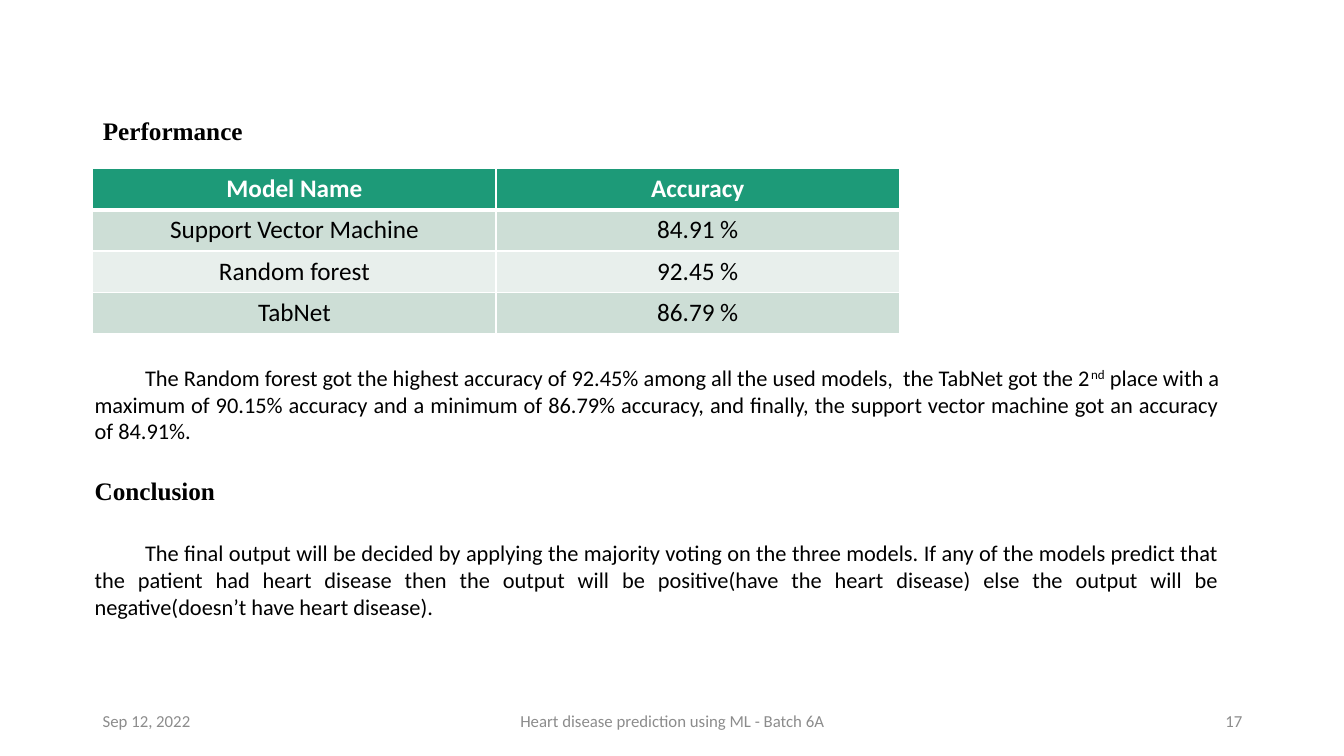
from lxml import etree
from pptx import Presentation
from pptx.dml.color import RGBColor
from pptx.enum.text import MSO_ANCHOR, MSO_AUTO_SIZE, PP_ALIGN
from pptx.oxml.ns import qn
from pptx.util import Inches, Pt

LEFT, CENTER, RIGHT, JUSTIFY = (
    PP_ALIGN.LEFT, PP_ALIGN.CENTER, PP_ALIGN.RIGHT, PP_ALIGN.JUSTIFY)
MIDDLE, TOP = MSO_ANCHOR.MIDDLE, MSO_ANCHOR.TOP
NO_FIT, GROW = MSO_AUTO_SIZE.NONE, MSO_AUTO_SIZE.SHAPE_TO_FIT_TEXT
TITLE_ONLY = 5

BODY_FONT, HEAD_FONT = "Calibri", "Times New Roman"
BLACK, WHITE, GREY = "000000", "FFFFFF", "8C8C8C"
GREEN, BAND_DARK, BAND_LIGHT = "1D9A78", "CDDED6", "E8EFEC"

BODY = {"name": BODY_FONT, "size": Pt(16), "bold": False, "color": BLACK}
HEADING = {"name": HEAD_FONT, "size": Pt(18), "bold": True, "color": BLACK}
FOOTER = {"name": BODY_FONT, "size": Pt(12), "bold": False, "color": GREY}
TABLE_BODY = {**BODY, "size": Pt(18)}
TABLE_HEAD = {**TABLE_BODY, "bold": True, "color": WHITE}


def rgb(hex_text):
    return RGBColor.from_string(hex_text)


class SlideBuilder:
    """Holds the deck and page, and adds each kind of element."""

    def __init__(self, width, height):
        self.deck = Presentation()
        self.deck.slide_width = Inches(width)
        self.deck.slide_height = Inches(height)
        self.page = self.deck.slides.add_slide(
            self.deck.slide_layouts[TITLE_ONLY])

    def span(self, para, text, style, raised=False):
        span = para.add_run()
        span.text = text
        for name, value in style.items():
            if name == "color":
                span.font.color.rgb = rgb(value)
            else:
                setattr(span.font, name, value)
        if raised:
            span._r.get_or_add_rPr().set("baseline", "30000")

    def frame(self, box, anchor, fit=NO_FIT):
        frame = box.text_frame
        settings = {"word_wrap": True, "vertical_anchor": anchor, "auto_size": fit}
        for name, value in settings.items():
            setattr(frame, name, value)
        return frame

    def title(self, text, left, top, width, height):
        box = self.page.shapes.title
        place = {"left": left, "top": top, "width": width, "height": height}
        for name, value in place.items():
            setattr(box, name, Inches(value))
        para = self.frame(box, MIDDLE).paragraphs[0]
        para.alignment = LEFT
        para.line_spacing = 0.9
        self.span(para, text, HEADING)

    def text_box(self, left, top, width, height, anchor, fit=NO_FIT):
        box = self.page.shapes.add_textbox(
            Inches(left), Inches(top), Inches(width), Inches(height))
        return self.frame(box, anchor, fit)

    def footer(self, text, left, width, align):
        para = self.text_box(left, 6.95, width, 0.4, MIDDLE).paragraphs[0]
        para.alignment = align
        self.span(para, text, FOOTER)

    def paragraphs(self, frame, items):
        """Each item is (spans, style, first-line indent, space before)."""
        for index, (spans, style, indent, gap) in enumerate(items):
            para = frame.add_paragraph() if index else frame.paragraphs[0]
            para.alignment = JUSTIFY
            para.space_before = Pt(gap)
            para._p.get_or_add_pPr().set("indent", str(Inches(indent)))
            for text, raised in spans:
                self.span(para, text, style, raised)

    def cell_borders(self, cell, widths):
        properties = cell._tc.get_or_add_tcPr()
        for side, width in widths.items():
            line = etree.SubElement(properties, qn(f"a:ln{side}"), w=str(Pt(width)))
            fill = etree.SubElement(line, qn("a:solidFill"))
            etree.SubElement(fill, qn("a:srgbClr"), val=WHITE)

    def table(self, rows, left, top, width, row_height):
        table = self.page.shapes.add_table(
            len(rows), len(rows[0]), Inches(left), Inches(top),
            Inches(width), Inches(row_height * len(rows))).table
        for row_index, row in enumerate(rows):
            if row_index == 0:
                color, style = GREEN, TABLE_HEAD
            else:
                color = BAND_DARK if row_index % 2 else BAND_LIGHT
                style = TABLE_BODY
            # A thicker rule separates the header from the body
            widths = {"L": 1, "R": 1, "T": 3 if row_index == 1 else 1,
                      "B": 3 if row_index == 0 else 1}
            for column, text in enumerate(row):
                cell = table.cell(row_index, column)
                self.cell_borders(cell, widths)
                cell.fill.solid()
                cell.fill.fore_color.rgb = rgb(color)
                para = cell.text_frame.paragraphs[0]
                para.alignment = CENTER
                self.span(para, text, style)


def main():
    slide = SlideBuilder(13.33, 7.5)

    # Title
    slide.title("Performance", 0.92, 0.74, 11.5, 1.14)

    # Footer line
    slide.footer("Sep 12, 2022", 0.92, 3, LEFT)
    slide.footer("Heart disease prediction using ML - Batch 6A", 4.42, 4.5, CENTER)
    slide.footer("17", 9.42, 3, RIGHT)

    # Accuracy table
    slide.table([
        ("Model Name", "Accuracy"),
        ("Support Vector Machine", "84.91 %"),
        ("Random forest", "92.45 %"),
        ("TabNet", "86.79 %"),
    ], 0.92, 1.67, 8, 0.41)

    # Findings and conclusion
    findings = [
        ("The Random forest got the highest accuracy of 92.45% among all the "
         "used models,  the TabNet got the 2", False),
        ("nd", True),
        (" place with a maximum of 90.15% accuracy and a minimum of 86.79% "
         "accuracy, and finally, the support vector machine got an accuracy "
         "of 84.91%.", False),
    ]
    conclusion = [
        ("The final output will be decided by applying the majority voting on "
         "the three models. If any of the models predict that the patient had "
         "heart disease then the output will be positive(have the heart "
         "disease) else the output will be negative(doesn’t have heart "
         "disease).", False),
    ]
    slide.paragraphs(slide.text_box(0.84, 3.56, 11.35, 2.73, TOP, GROW), [
        (findings, BODY, 0.5, 0),
        ([("Conclusion", False)], HEADING, 0, 22),
        (conclusion, BODY, 0.5, 24),
    ])

    slide.deck.save("out.pptx")


if __name__ == "__main__":
    main()
